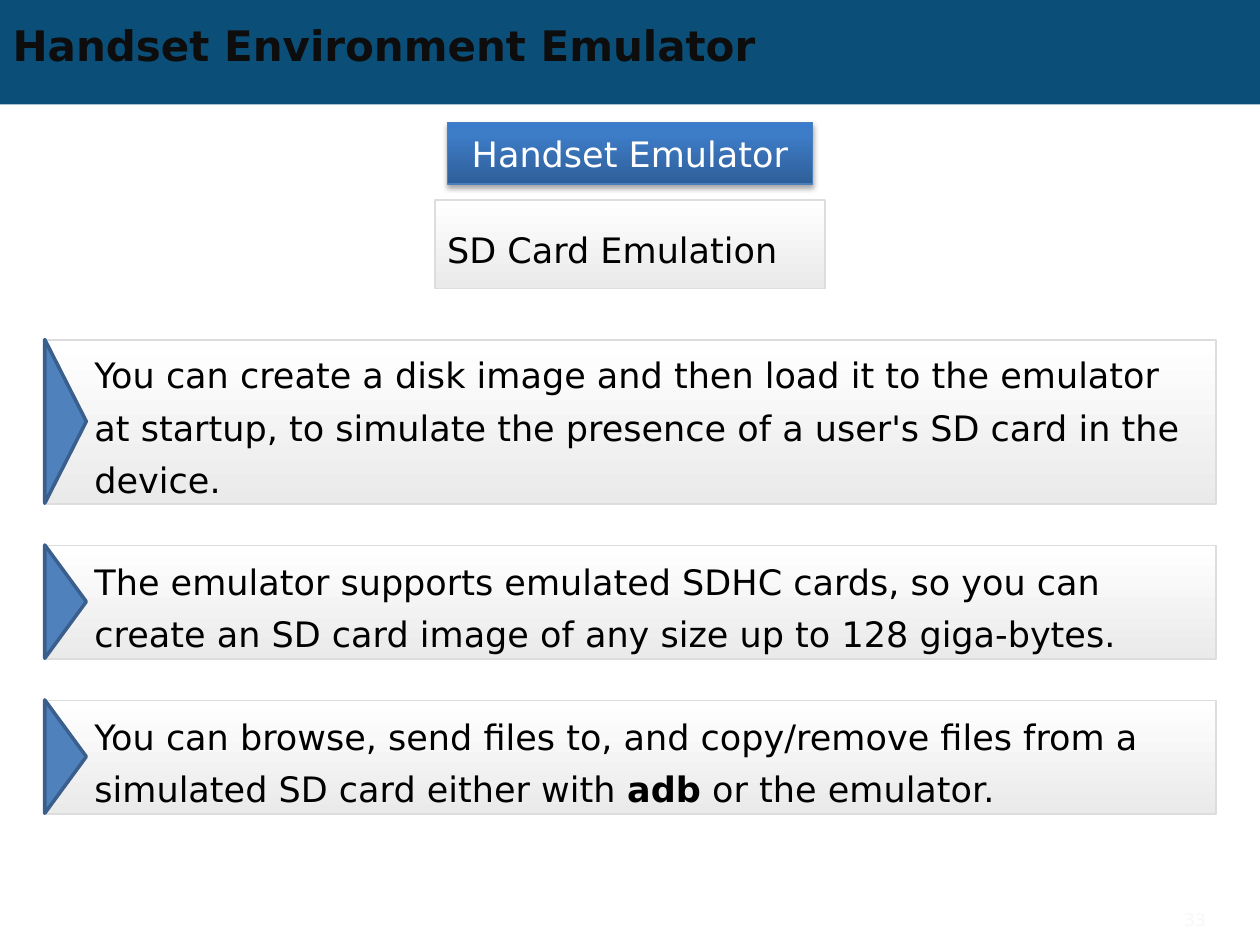
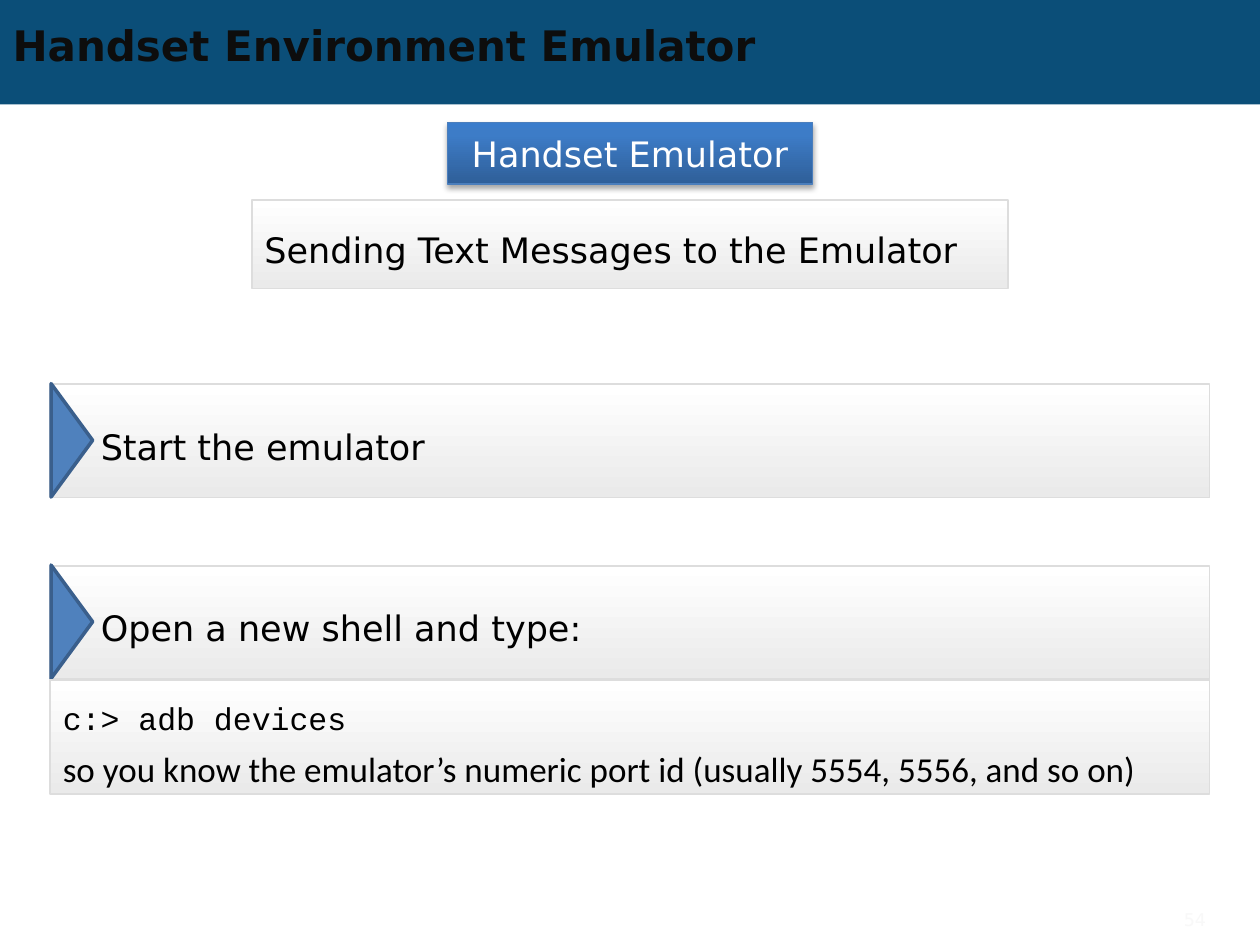
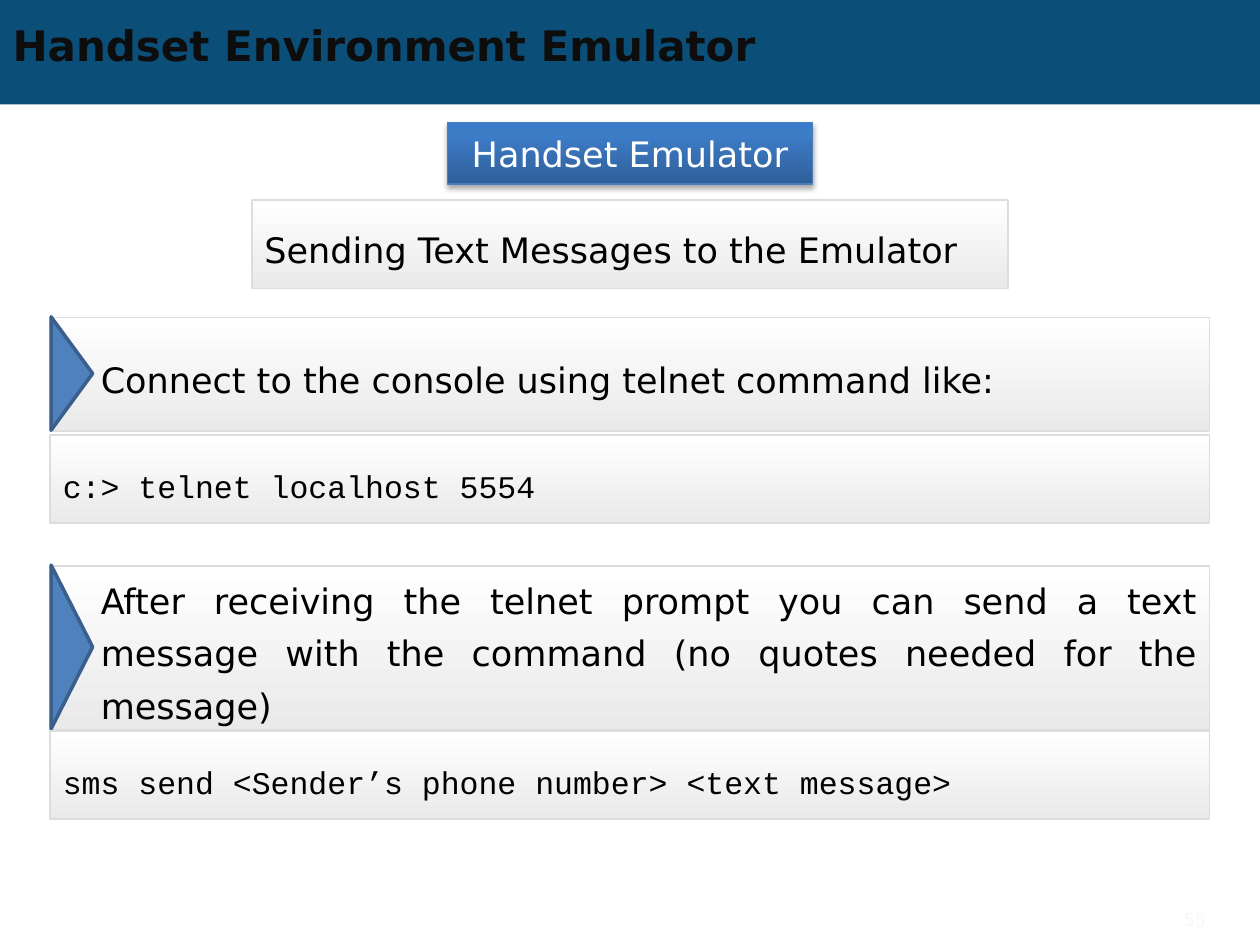
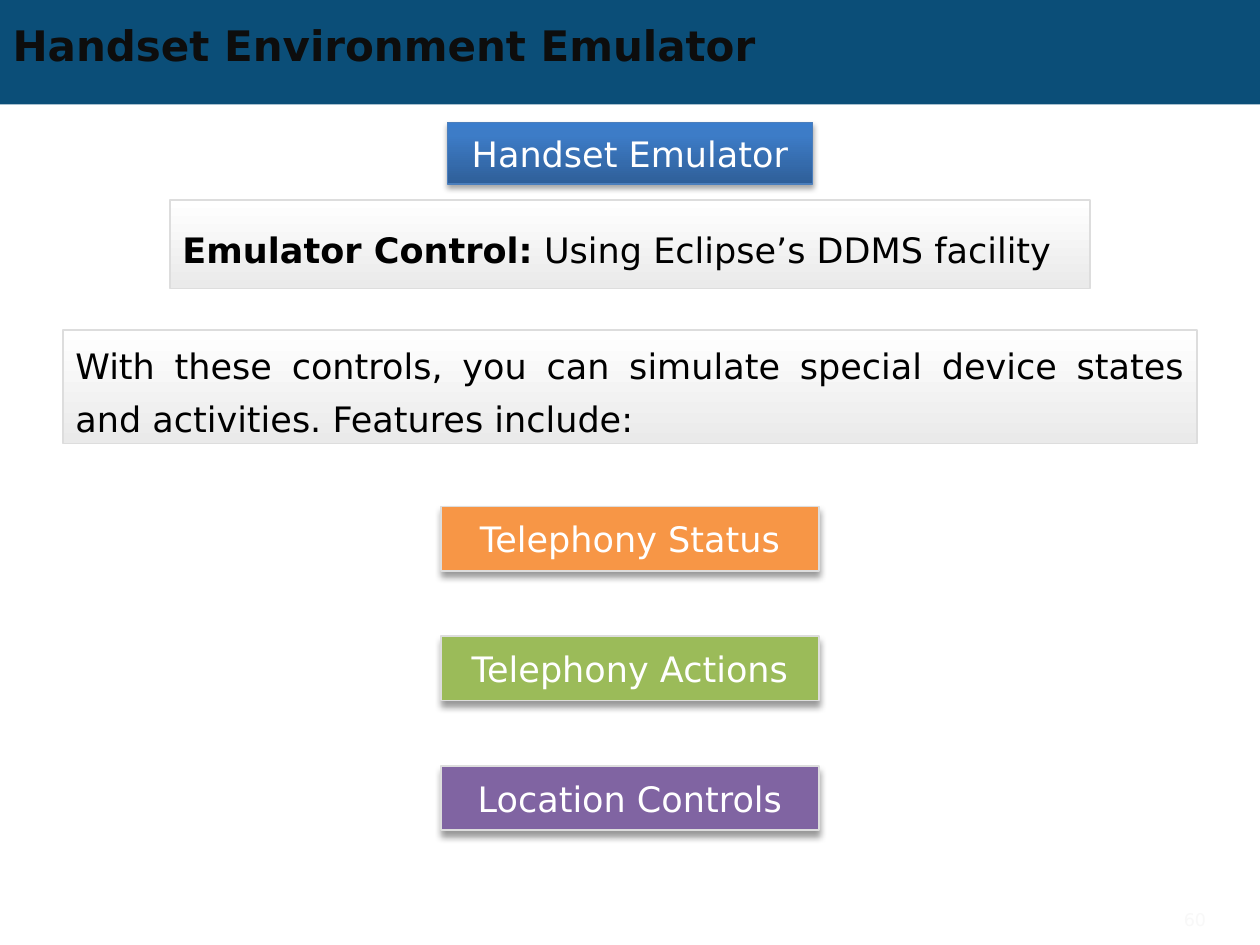
from copy import deepcopy

from lxml.etree import SubElement
from pptx import Presentation
from pptx.dml.color import RGBColor
from pptx.enum.shapes import MSO_SHAPE
from pptx.enum.text import MSO_ANCHOR, MSO_AUTO_SIZE, PP_ALIGN
from pptx.oxml.ns import qn
from pptx.util import Emu, Pt

PX = 9144  # 100 px to the inch
WIDTH, HEIGHT = 1000, 750
ARROW_DEPTH = 33
SANS, MONO, HUMANIST = "DejaVu Sans", "Courier New", "Calibri"
COLORS = {
    "band": "0B4E78", "title": "0D0D0D", "text": "000000", "white": "FFFFFF",
    "number": "F8F8F8", "panel_end": "EAEAEA", "panel_line": "DDDDDD",
    "topic_dark": "2F5F99", "topic_mid": "3D7CC7", "topic_light": "3A7CCB",
    "topic_line": "4B7EBC", "arrow": "4F81BD", "arrow_line": "3A5F8C",
    "orange": "F79646", "green": "9BBB59", "purple": "8064A2",
}
PANEL_STOPS = [(0, "white"), (100, "panel_end")]
TOPIC_STOPS = [(0, "topic_dark"), (80, "topic_mid"), (100, "topic_light")]


def px(*lengths):
    return [Emu(length * PX) for length in lengths]


def rgb(name):
    return RGBColor.from_string(COLORS[name])


def write(shape, text, size=20, font=SANS, color="text", bold=False, strong="",
          align=PP_ALIGN.LEFT, spacing=None):
    """Add one paragraph to a shape; the part named by strong is bold."""
    frame = shape.text_frame
    frame.word_wrap = True
    frame.vertical_anchor = MSO_ANCHOR.MIDDLE
    paragraph = frame.paragraphs[0] if not frame.text else frame.add_paragraph()
    paragraph.alignment = align
    if spacing:
        paragraph.line_spacing = Pt(spacing)
    for part in text.partition(strong) if strong else [text]:
        if part:
            run = paragraph.add_run()
            run.text = part
            run.font.size = Pt(size)
            run.font.name = font
            run.font.bold = bold or part == strong
            run.font.color.rgb = rgb(color)


class Deck:
    def __init__(self):
        self.presentation = Presentation()
        self.presentation.slide_width, self.presentation.slide_height = px(WIDTH, HEIGHT)
        self.layout = self.presentation.slide_layouts[5]
        self.slide = None

    def start_slide(self, number):
        first = self.slide is None
        self.slide = self.presentation.slides.add_slide(self.layout)
        if first:
            # The band belongs to the layout, behind everything else
            band = self.shape((0, 0, WIDTH, 83), "band")
            self.layout.shapes._spTree.insert(2, band._element)
        self.topic("Handset Emulator")
        self.title("Handset Environment Emulator")
        self.page_number(number)

    def title(self, text):
        title = self.slide.shapes.title
        title.left, title.top, title.width, title.height = px(0, 14, 900, 43)
        title.text_frame.auto_size = MSO_AUTO_SIZE.NONE
        write(title, text, size=24, color="title", bold=True)

    def page_number(self, number):
        box = self.slide.shapes.add_textbox(*px(900, 715, 67, 30))
        write(box, str(number), size=10, color="number", align=PP_ALIGN.RIGHT)

    def shape(self, place, fill, line=None, line_width=1.0, kind=MSO_SHAPE.RECTANGLE,
              group=None, shadow=None):
        """fill is a colour name or a list of gradient stops running downwards."""
        shape = (group or self.slide).shapes.add_shape(kind, *px(*place))
        if isinstance(fill, str):
            shape.fill.solid()
            shape.fill.fore_color.rgb = rgb(fill)
        else:
            self.gradient(shape, fill)
        if line:
            shape.line.color.rgb = rgb(line)
            shape.line.width = Pt(line_width)
        else:
            shape.line.fill.background()
        shape.shadow.inherit = False
        if shadow:
            self.shadow(shape, *shadow)
        return shape

    def gradient(self, shape, stops):
        shape.fill.gradient()
        stop_list = shape._element.spPr.find(qn("a:gradFill")).find(qn("a:gsLst"))
        for _ in stops[2:]:
            stop_list.append(deepcopy(stop_list[-1]))
        for stop, (position, color) in zip(shape.fill.gradient_stops, stops):
            stop.position = position / 100
            stop.color.rgb = rgb(color)
        shape.fill.gradient_angle = 270

    def shadow(self, shape, opacity, blur, distance):
        effects = shape._element.spPr.find(qn("a:effectLst"))
        outer = SubElement(effects, qn("a:outerShdw"), blurRad=str(Pt(blur)),
                           dist=str(Pt(distance)), dir="5400000", rotWithShape="0")
        color = SubElement(outer, qn("a:srgbClr"), val=COLORS["text"])
        SubElement(color, qn("a:alpha"), val=str(opacity * 1000))

    def topic(self, text):
        # The dark end is at the bottom, so the stops are mirrored
        stops = [(100 - position, color) for position, color in reversed(TOPIC_STOPS)]
        shape = self.shape((355, 97, 290, 49), stops, "topic_line", 0.75,
                           shadow=(35, 3.1, 1.8))
        write(shape, text, color="white", align=PP_ALIGN.CENTER)

    def panel(self, place, text="", group=None, align=PP_ALIGN.JUSTIFY, **style):
        shape = self.shape(place, PANEL_STOPS, "panel_line", group=group)
        if text:
            write(shape, text, align=align, spacing=30, **style)
        return shape

    def subtitle(self, text, width, **style):
        self.panel(((WIDTH - width) // 2, 159, width, 70), text, **style)

    def item(self, place, text, **style):
        """A panel with an arrow on its left edge; returns their group."""
        left, top, width, height = place
        group = self.slide.shapes.add_group_shape()
        frame = self.panel(place, text, group, **style).text_frame
        frame.margin_left, frame.margin_top, frame.margin_right, frame.margin_bottom = px(
            40, 0, 10, 0)
        arrow = self.shape((left + 17 - height // 2, top + (height - ARROW_DEPTH) // 2,
                            height, ARROW_DEPTH), "arrow", "arrow_line", 2,
                           MSO_SHAPE.ISOSCELES_TRIANGLE, group)
        arrow.rotation = 90
        return group

    def command(self, place, text, group):
        return self.panel(place, text, group, PP_ALIGN.LEFT, size=18, font=MONO)

    def feature(self, top, text, fill):
        shape = self.shape((350, top, 300, 51), fill, "panel_line", shadow=(40, 4, 3))
        frame = shape.text_frame
        frame.margin_left = frame.margin_right = frame.margin_top = frame.margin_bottom = 0
        write(shape, text, color="white", align=PP_ALIGN.CENTER)


def sd_card(deck):
    deck.start_slide(33)
    deck.subtitle("SD Card Emulation", 310)
    top = 270
    for height, text, strong in [
        (130, "You can create a disk image and then load it to the emulator at startup, "
              "to simulate the presence of a user's SD card in the device.", ""),
        (90, "The emulator supports emulated SDHC cards, so you can create an SD card "
             "image of any size up to 128 giga-bytes.", ""),
        (90, "You can browse, send files to, and copy/remove files from a simulated "
             "SD card either with adb or the emulator.", "adb"),
    ]:
        deck.item((35, top, 930, height), text, align=PP_ALIGN.LEFT, strong=strong)
        top += height + 33


def start_messages(deck, number):
    deck.start_slide(number)
    deck.subtitle("Sending Text Messages to the Emulator", 600)


def open_shell(deck):
    start_messages(deck, 54)
    deck.item((40, 305, 920, 90), "Start the emulator")
    group = deck.item((40, 449, 920, 90), "Open a new shell and type:")
    command = deck.command((40, 540, 920, 90), "c:> adb devices", group)
    write(command, "so you know the emulator’s numeric port id (usually 5554, 5556, "
                   "and so on)", font=HUMANIST, spacing=30)


def send_message(deck):
    start_messages(deck, 55)
    group = deck.item((40, 449, 920, 130),
                      "After receiving the telnet prompt you can send a text message "
                      "with the command (no quotes needed for the message)")
    deck.command((40, 580, 920, 70), "sms send <Sender’s phone number> <text message>", group)
    group = deck.item((40, 252, 920, 90), "Connect to the console using telnet command like:")
    deck.command((40, 345, 920, 70), "c:> telnet localhost 5554", group)


def emulator_control(deck):
    deck.start_slide(60)
    deck.subtitle("Emulator Control: Using Eclipse’s DDMS facility", 730,
                  strong="Emulator Control:")
    deck.panel((50, 262, 900, 90), "With these controls, you can simulate special device "
                                   "states and activities. Features include:")
    features = [("Telephony Status", "orange"), ("Telephony Actions", "green"),
                ("Location Controls", "purple")]
    for row, (text, fill) in enumerate(features):
        deck.feature(402 + 103 * row, text, fill)


def main():
    deck = Deck()
    for build in (sd_card, open_shell, send_message, emulator_control):
        build(deck)
    deck.presentation.save("out.pptx")


if __name__ == "__main__":
    main()
